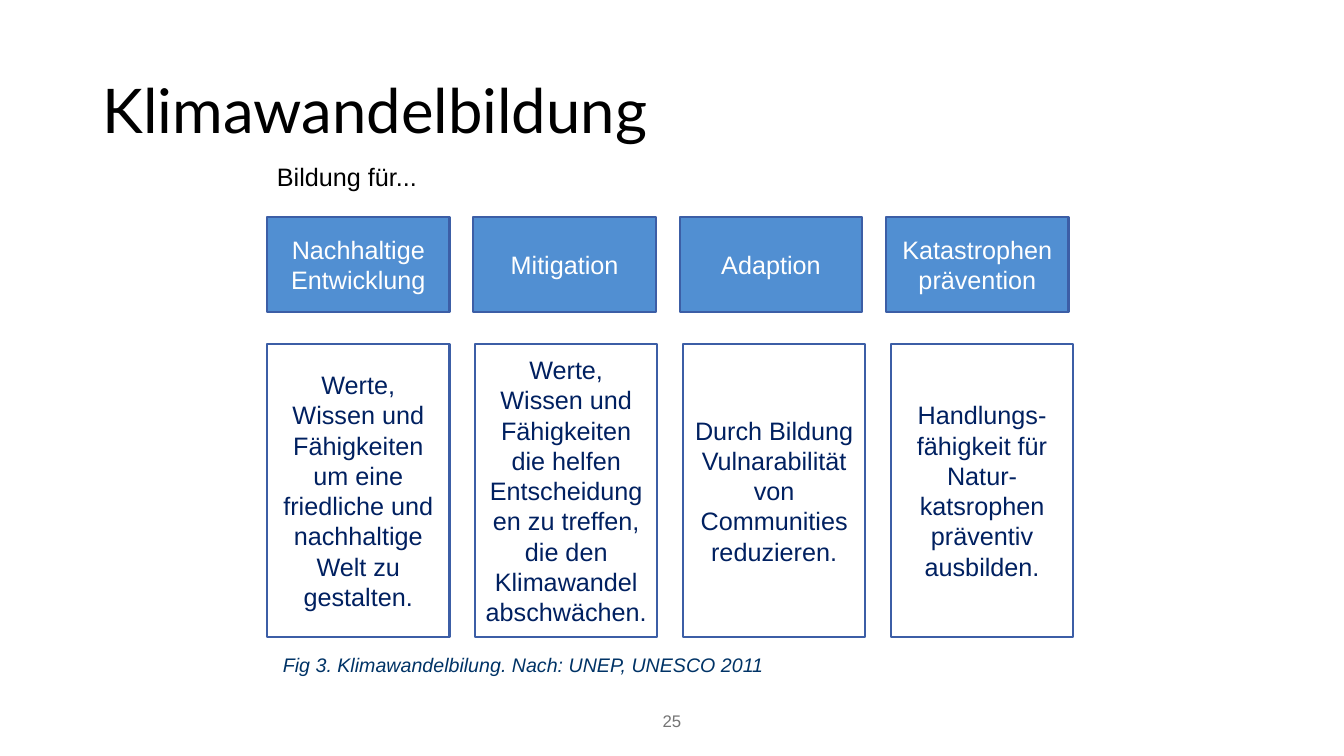
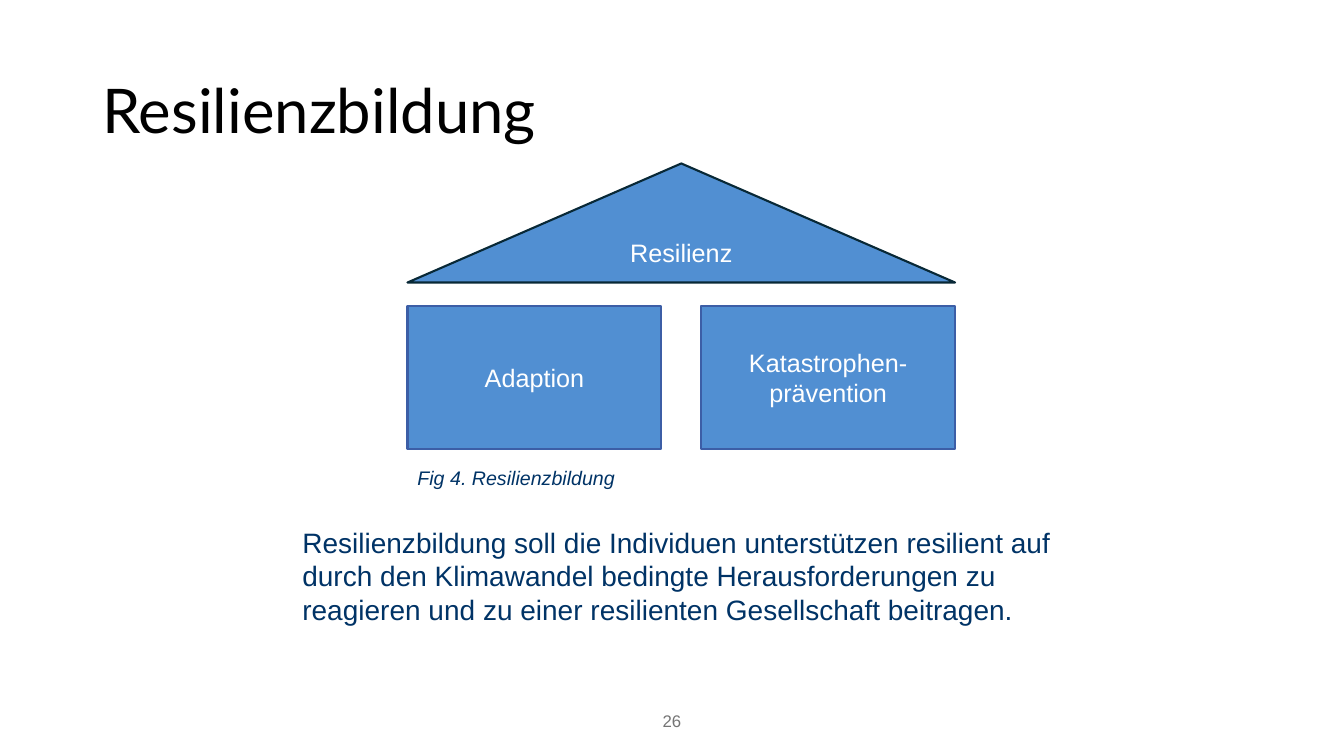
from pptx import Presentation
from pptx.dml.color import RGBColor
from pptx.enum.shapes import MSO_SHAPE
from pptx.enum.text import MSO_ANCHOR, PP_ALIGN
from pptx.util import Cm, Pt

# Content
EDUCATION_TITLE = "Klimawandelbildung"
EDUCATION_LEAD = "Bildung für..."
EDUCATION_GOALS = [
    ("Nachhaltige Entwicklung",
     "Werte, Wissen und Fähigkeiten um eine friedliche und nachhaltige "
     "Welt zu gestalten."),
    ("Mitigation",
     "Werte, Wissen und Fähigkeiten die helfen Entscheidungen zu treffen, "
     "die den Klimawandel abschwächen."),
    ("Adaption",
     "Durch Bildung Vulnarabilität von Communities reduzieren."),
    ("Katastrophenprävention",
     "Handlungs-fähigkeit für Natur-katsrophen präventiv ausbilden."),
]
EDUCATION_CAPTION = "Fig 3. Klimawandelbilung. Nach: UNEP, UNESCO 2011"

RESILIENCE_TITLE = "Resilienzbildung"
ROOF = "Resilienz"
PILLARS = ["Adaption", "Katastrophen-prävention"]
RESILIENCE_CAPTION = "Fig 4. Resilienzbildung"
RESILIENCE_SUMMARY = (
    "Resilienzbildung soll die Individuen unterstützen resilient auf durch "
    "den Klimawandel bedingte Herausforderungen zu reagieren und zu einer "
    "resilienten Gesellschaft beitragen.")

# Shared style
BLACK = RGBColor(0x00, 0x00, 0x00)
WHITE = RGBColor(0xFF, 0xFF, 0xFF)
GREY = RGBColor(0x75, 0x75, 0x75)
BLUE = RGBColor(0x51, 0x8F, 0xD2)
EDGE = RGBColor(0x3C, 0x5E, 0xA6)
ROOF_EDGE = RGBColor(0x08, 0x28, 0x36)
NAVY = RGBColor(0x00, 0x20, 0x60)
INK = RGBColor(0x00, 0x33, 0x66)
TITLE_FONT, BODY_FONT = "Lato", "Arial"


def write(shape, text, size, color, font=BODY_FONT, italic=False,
          align=PP_ALIGN.LEFT, anchor=MSO_ANCHOR.TOP):
    frame = shape.text_frame
    frame.word_wrap = True
    frame.vertical_anchor = anchor
    paragraph = frame.paragraphs[0]
    paragraph.alignment = align
    run = paragraph.add_run()
    run.text = text
    run.font.name = font
    run.font.size = Pt(size)
    run.font.italic = italic
    run.font.color.rgb = color
    return paragraph


def add_text(slide, box, text, size, color, **style):
    label = slide.shapes.add_textbox(*map(Cm, box))
    return write(label, text, size, color, **style)


def add_caption(slide, box, text):
    add_text(slide, box, text, 14, INK, italic=True)


def add_block(slide, box, text, kind=MSO_SHAPE.RECTANGLE, fill=BLUE,
              edge=EDGE, color=WHITE):
    block = slide.shapes.add_shape(kind, *map(Cm, box))
    block.shadow.inherit = False
    if fill is None:
        block.fill.background()
    else:
        block.fill.solid()
        block.fill.fore_color.rgb = fill
    block.line.color.rgb = edge
    block.line.width = Pt(1.5)
    write(block, text, 18, color, align=PP_ALIGN.CENTER,
          anchor=MSO_ANCHOR.MIDDLE)


def add_page(prs, title, number):
    slide = prs.slides.add_slide(prs.slide_layouts[6])
    heading = add_text(slide, (2.33, 1.01, 29.21, 3.68), title, 44, BLACK,
                       font=TITLE_FONT, anchor=MSO_ANCHOR.MIDDLE)
    heading.line_spacing = 0.9
    add_text(slide, (11.22, 17.65, 11.43, 1.01), str(number), 12, GREY,
             align=PP_ALIGN.CENTER, anchor=MSO_ANCHOR.MIDDLE)
    return slide


def build_education(prs):
    slide = add_page(prs, EDUCATION_TITLE, 25)
    left, width = 6.73, 4.6
    head_pitch, detail_pitch = 5.2, 5.24
    add_text(slide, (left, 3.94, 7.8, 1.02), EDUCATION_LEAD, 18, BLACK)
    # One column per goal: filled head above outlined detail
    for column, (goal, detail) in enumerate(EDUCATION_GOALS):
        add_block(slide, (left + column * head_pitch, 5.46, width, 2.4), goal)
        add_block(slide, (left + column * detail_pitch, 8.66, width, 7.4),
                  detail, fill=None, color=NAVY)
    add_caption(slide, (6.88, 16.33, 14.5, 0.9), EDUCATION_CAPTION)


def build_resilience(prs):
    slide = add_page(prs, RESILIENCE_TITLE, 26)
    left, width, pillar_width = 10.27, 13.8, 6.4
    # Roof resting on two pillars
    add_block(slide, (left, 4.12, width, 3), ROOF,
              kind=MSO_SHAPE.ISOSCELES_TRIANGLE, edge=ROOF_EDGE)
    pitch = (width - pillar_width) / (len(PILLARS) - 1)
    for index, pillar in enumerate(PILLARS):
        add_block(slide, (left + index * pitch, 7.72, pillar_width, 3.6),
                  pillar)
    add_caption(slide, (left, 11.61, 10.4, 0.86), RESILIENCE_CAPTION)
    add_text(slide, (7.37, 13.11, 20.09, 2.82), RESILIENCE_SUMMARY, 20, INK)


def main():
    prs = Presentation()
    prs.slide_width, prs.slide_height = Cm(33.87), Cm(19.05)
    build_education(prs)
    build_resilience(prs)
    prs.save("out.pptx")


if __name__ == "__main__":
    main()
